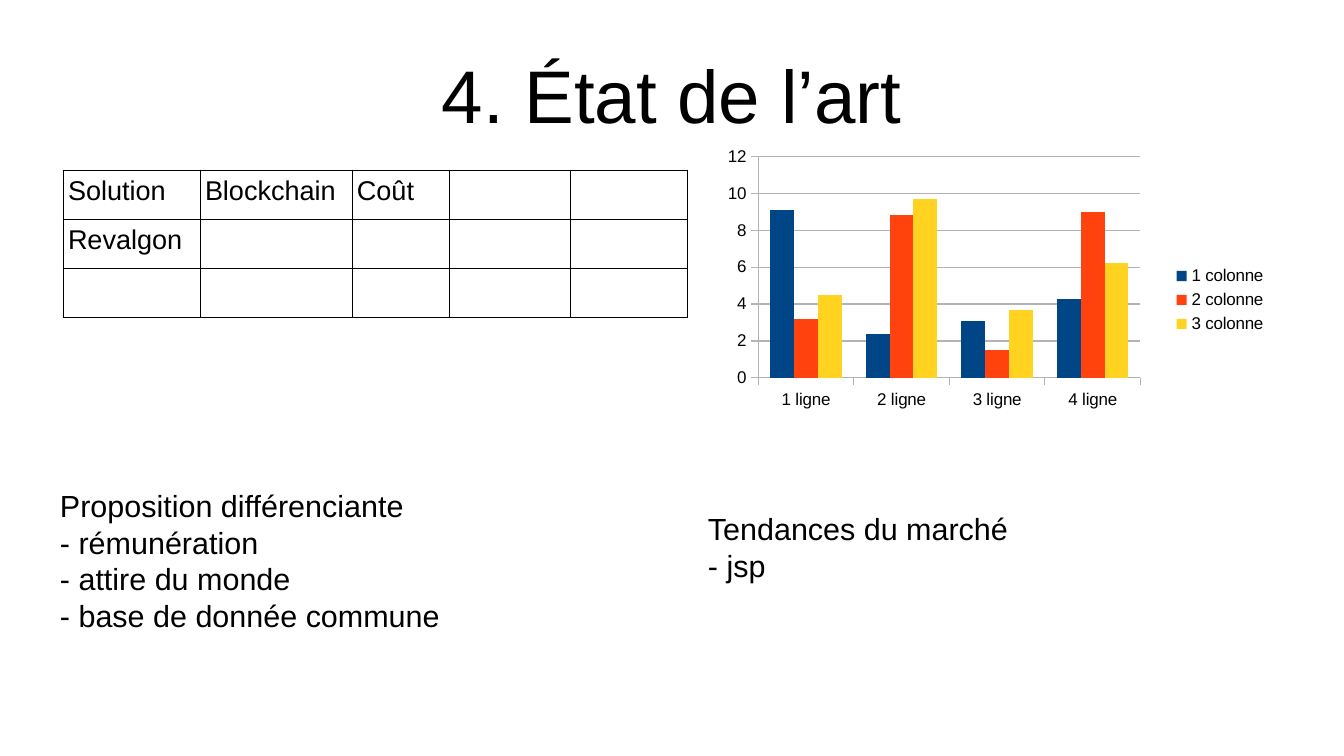
from lxml import etree
from pptx import Presentation
from pptx import util as u
from pptx.chart import data as chart_data
from pptx.dml import color
from pptx.enum import chart as charts
from pptx.enum import text
from pptx.oxml import ns

PX = 7495
COLORS = {
    "ink": "000000",
    "axis": "B3B3B3",
    "1 colonne": "004586",
    "2 colonne": "FF420E",
    "3 colonne": "FFD320",
}
COLUMN_WIDTHS = [137, 152, 97, 121, 118]
ROW_HEIGHT = 49
CELLS = [
    ["Solution", "Blockchain", "Coût", "", ""],
    ["Revalgon", "", "", "", ""],
    ["", "", "", "", ""],
]
CATEGORIES = ["1 ligne", "2 ligne", "3 ligne", "4 ligne"]
SERIES = {
    "1 colonne": [9.1, 2.4, 3.1, 4.3],
    "2 colonne": [3.2, 8.8, 1.5, 9],
    "3 colonne": [4.5, 9.7, 3.7, 6.2],
}
PLOT_LAYOUT = {
    "layoutTarget": "inner",
    "xMode": "edge",
    "yMode": "edge",
    "x": 0.06,
    "y": 0.04,
    "w": 0.69,
    "h": 0.71,
}
BOX_FORMAT = {
    "word_wrap": True,
    "margin_left": 12 * PX,
    "margin_right": 12 * PX,
    "margin_top": 6 * PX,
    "margin_bottom": 6 * PX,
    "vertical_anchor": text.MSO_ANCHOR.TOP,
}
TITLE_FORMAT = {
    "word_wrap": True,
    "margin_left": 0,
    "margin_right": 0,
    "margin_top": 0,
    "margin_bottom": 0,
    "vertical_anchor": text.MSO_ANCHOR.MIDDLE,
}
CELL_FORMAT = {
    "margin_left": 5 * PX,
    "margin_right": 5 * PX,
    "margin_top": 6 * PX,
    "margin_bottom": 6 * PX,
}


def rgb(name):
    return color.RGBColor.from_string(COLORS[name])


def apply_format(target, values):
    for name, value in values.items():
        setattr(target, name, value)


def style_font(font, size):
    apply_format(font, {"name": "Arial", "size": u.Pt(size), "bold": False})
    font.color.rgb = rgb("ink")


def place(*lengths):
    return [length * PX for length in lengths]


def add_text(page, area, lines, size, frame_format, alignment=text.PP_ALIGN.LEFT):
    frame = page.shapes.add_textbox(*place(*area)).text_frame
    apply_format(frame, frame_format)
    frame.text = "\n".join(lines)
    for para in frame.paragraphs:
        para.alignment = alignment
        for span in para.runs:
            style_font(span.font, size)


def border_cell(cell):
    properties = cell._tc.get_or_add_tcPr()
    for position, side in enumerate(["lnL", "lnR", "lnT", "lnB"]):
        line = etree.Element(ns.qn(f"a:{side}"), w=str(u.Pt(0.57)))
        fill = etree.SubElement(line, ns.qn("a:solidFill"))
        etree.SubElement(fill, ns.qn("a:srgbClr"), val=COLORS["ink"])
        properties.insert(position, line)


def add_solution_table(page, left, top):
    area = place(left, top, sum(COLUMN_WIDTHS), ROW_HEIGHT * len(CELLS))
    table = page.shapes.add_table(len(CELLS), len(COLUMN_WIDTHS), *area).table
    apply_format(table, {"first_row": False, "horz_banding": False})
    for column, width in zip(table.columns, COLUMN_WIDTHS):
        column.width = width * PX
    for row, words in zip(table.rows, CELLS):
        row.height = ROW_HEIGHT * PX
        for cell, word in zip(row.cells, words):
            apply_format(cell, CELL_FORMAT)
            cell.fill.background()
            border_cell(cell)
            if word:
                cell.text = word
                style_font(cell.text_frame.paragraphs[0].runs[0].font, 16)


def style_line(line):
    line.color.rgb = rgb("axis")
    line.width = 0


def set_plot_layout(plot):
    plot_area = plot._element.getparent()
    for old in plot_area.findall(ns.qn("c:layout")):
        plot_area.remove(old)
    layout = etree.Element(ns.qn("c:layout"))
    manual = etree.SubElement(layout, ns.qn("c:manualLayout"))
    for name, value in PLOT_LAYOUT.items():
        etree.SubElement(manual, ns.qn(f"c:{name}"), val=str(value))
    plot_area.insert(0, layout)


def add_column_chart(page, area):
    values = chart_data.CategoryChartData()
    values.categories = CATEGORIES
    for name, numbers in SERIES.items():
        values.add_series(name, numbers)
    kind = charts.XL_CHART_TYPE.COLUMN_CLUSTERED
    chart = page.shapes.add_chart(kind, *place(*area), values).chart
    apply_format(chart, {"has_title": False, "has_legend": True})
    style_font(chart.font, 10)
    legend_format = {
        "position": charts.XL_LEGEND_POSITION.RIGHT,
        "include_in_layout": False,
    }
    apply_format(chart.legend, legend_format)
    style_font(chart.legend.font, 10)

    plot = chart.plots[0]
    apply_format(plot, {"gap_width": 100, "overlap": 0, "vary_by_categories": False})
    set_plot_layout(plot)
    for series in plot.series:
        series.format.fill.solid()
        series.format.fill.fore_color.rgb = rgb(series.name)

    for axis in (chart.category_axis, chart.value_axis):
        axis.major_tick_mark = charts.XL_TICK_MARK.OUTSIDE
        style_font(axis.tick_labels.font, 10)
        style_line(axis.format.line)
    scale = {"minimum_scale": 0, "maximum_scale": 12, "major_unit": 2}
    apply_format(chart.value_axis, scale)
    style_line(chart.value_axis.major_gridlines.format.line)


def main():
    deck = Presentation()
    apply_format(deck, {"slide_width": 1344 * PX, "slide_height": 756 * PX})
    page = deck.slides.add_slide(deck.slide_layouts[6])
    add_text(page, (67, 30, 1210, 127), ["4. État de l’art"], 44,
             TITLE_FORMAT, text.PP_ALIGN.CENTER)
    add_solution_table(page, 63, 170)
    add_column_chart(page, (725, 144, 554, 312))
    proposition = [
        "Proposition différenciante",
        "- rémunération",
        "- attire du monde",
        "- base de donnée commune",
    ]
    add_text(page, (48, 481, 409, 192), proposition, 18, BOX_FORMAT)
    add_text(page, (696, 504, 481, 168), ["Tendances du marché", "- jsp"], 18, BOX_FORMAT)
    deck.save("out.pptx")


if __name__ == "__main__":
    main()
